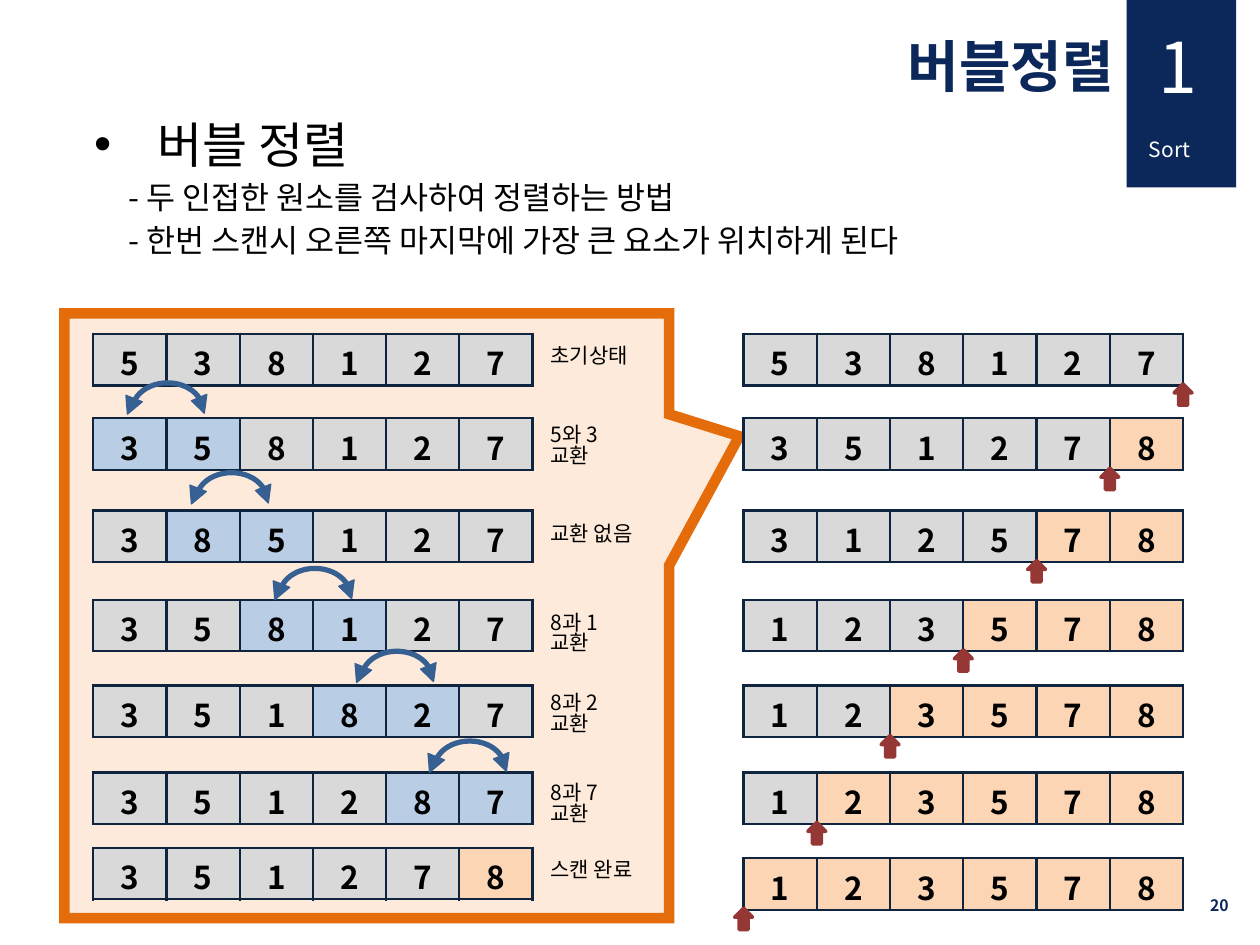
import dataclasses

import lxml.etree
import pptx
import pptx.dml.color
import pptx.enum.shapes
import pptx.enum.text
import pptx.oxml.ns
import pptx.util

Cm, Pt = pptx.util.Cm, pptx.util.Pt
qn = pptx.oxml.ns.qn
SHAPE = pptx.enum.shapes.MSO_SHAPE
ALIGN = pptx.enum.text.PP_ALIGN
ANCHOR = pptx.enum.text.MSO_ANCHOR


@dataclasses.dataclass(frozen=True)
class Theme:
    font: str = "Noto Sans CJK KR"
    navy: str = "0C2759"
    white: str = "FFFFFF"
    black: str = "000000"
    border: str = "0F243E"
    plain: str = "D9D9D9"
    compared: str = "B9CDE5"
    sorted: str = "FCD5B5"
    panel: str = "FDEADA"
    orange: str = "E46C0A"
    swap: str = "376092"
    marker: str = "953735"
    title: int = 32
    badge: int = 40
    heading: int = 28
    body: int = 18
    label: int = 12
    page: int = 9


def rgb(value):
    return pptx.dml.color.RGBColor.from_string(value)


def add_element(parent, tag, **attributes):
    return lxml.etree.SubElement(parent, qn(tag), attributes)


def write(para, text, size, color, bold=False, align=ALIGN.LEFT, spacing=None):
    para.alignment = align
    para.line_spacing = spacing
    span = para.add_run()
    span.text = text
    span.font.size = Pt(size)
    span.font.bold = bold
    span.font.color.rgb = rgb(color)
    span.font.name = Theme.font
    add_element(span.font._element, "a:ea", typeface=Theme.font)


class SlideBuilder:
    TIGHT = 0.83
    CELLS = 6
    ROW_WIDTH, ROW_HEIGHT = 8.86, 1.04

    def __init__(self, slide, theme):
        self.slide = slide
        self.theme = theme

    def title(self, text, left, top, width, height):
        box = self.slide.shapes.title
        box.left, box.top, box.width, box.height = map(Cm, (left, top, width, height))
        frame = box.text_frame
        frame.vertical_anchor = ANCHOR.TOP
        frame.auto_size = pptx.enum.text.MSO_AUTO_SIZE.NONE
        write(frame.paragraphs[0], text, self.theme.title, self.theme.navy,
              bold=True, align=ALIGN.RIGHT, spacing=self.TIGHT)

    def frame(self, left, top, width, height):
        box = self.slide.shapes.add_textbox(*map(Cm, (left, top, width, height)))
        box.text_frame.word_wrap = True
        return box.text_frame

    def text(self, text, left, top, width, height, anchor=ANCHOR.TOP, right_inset=0.25, **style):
        frame = self.frame(left, top, width, height)
        frame.vertical_anchor = anchor
        frame.margin_right = Cm(right_inset)
        write(frame.paragraphs[0], text, **style)

    def outline(self, heading, points, left, top, width, height):
        """A bulleted heading followed by indented points."""
        frame = self.frame(left, top, width, height)
        para = frame.paragraphs[0]
        properties = para._p.get_or_add_pPr()
        properties.set("marL", str(Cm(1.27)))
        properties.set("indent", str(-Cm(1.27)))
        add_element(properties, "a:buFont", typeface="Arial")
        add_element(properties, "a:buChar", char="•")
        write(para, heading, self.theme.heading, self.theme.black)
        for point in points:
            para = frame.add_paragraph()
            para._p.get_or_add_pPr().set("marL", str(Cm(0.7)))
            para.space_before = Pt(3)
            write(para, point, self.theme.body, self.theme.black)

    def paint(self, shape, fill=None, line=None, weight=0.75):
        shape.shadow.inherit = False
        if fill:
            shape.fill.solid()
            shape.fill.fore_color.rgb = rgb(fill)
        else:
            shape.fill.background()
        if line:
            shape.line.color.rgb = rgb(line)
            shape.line.width = Pt(weight)
        else:
            shape.line.fill.background()

    def shape(self, kind, left, top, width, height, adjust=(), **style):
        shape = self.slide.shapes.add_shape(kind, *map(Cm, (left, top, width, height)))
        for index, value in enumerate(adjust):
            shape.adjustments[index] = value
        self.paint(shape, **style)
        return shape

    def callout(self, left, top, width, height, adjust):
        shape = self.shape(SHAPE.RECTANGULAR_CALLOUT, left, top, width, height, adjust,
                           fill=self.theme.panel, line=self.theme.orange, weight=6)
        add_element(shape.line._get_or_add_ln(), "a:miter", lim="800000")

    def triangle(self, points):
        start, *others = [(Cm(x), Cm(y)) for x, y in points]
        builder = self.slide.shapes.build_freeform(*start)
        builder.add_line_segments(others, close=True)
        self.paint(builder.convert_to_shape(), fill=self.theme.swap, line=self.theme.swap)

    def swap_arrow(self, left, top):
        """A double-headed arc over two neighbouring cells."""
        heads = (((1.19, 0.36), (1.45, 0.61), (1.5, 0.23)),
                 ((-0.13, 0.25), (-0.1, 0.63), (0.2, 0.38)))
        for head in heads:
            self.triangle([(left + x, top + y) for x, y in head])
        self.shape(SHAPE.ARC, left, top, 1.42, 1.09, (111.12, 212.61),
                   line=self.theme.swap, weight=3)

    def array(self, digits, left, top, compared=(), sorted_from=CELLS):
        holder = self.slide.shapes.add_table(
            1, self.CELLS, *map(Cm, (left, top, self.ROW_WIDTH, self.ROW_HEIGHT)))
        table = holder.table
        table.first_row = table.horz_banding = False
        for index, (cell, digit) in enumerate(zip(table.iter_cells(), digits)):
            fill = self.theme.plain
            if index in compared:
                fill = self.theme.compared
            elif index >= sorted_from:
                fill = self.theme.sorted
            cell.margin_top, cell.margin_bottom = Cm(0.11), 0
            write(cell.text_frame.paragraphs[0], digit, self.theme.body,
                  self.theme.black, bold=True, align=ALIGN.CENTER)
            properties = cell._tc.get_or_add_tcPr()
            for side in ("a:lnL", "a:lnR", "a:lnT", "a:lnB"):
                edge = add_element(properties, side, w=str(Pt(1.5)))
                add_element(add_element(edge, "a:solidFill"), "a:srgbClr", val=self.theme.border)
            cell.fill.solid()
            cell.fill.fore_color.rgb = rgb(fill)

    def boundary_marker(self, left, top, position):
        """An up arrow under the edge where the sorted part begins."""
        center = left + position * self.ROW_WIDTH / self.CELLS
        self.shape(SHAPE.UP_ARROW, center - 0.18, top + self.ROW_HEIGHT - 0.03, 0.36, 0.43,
                   fill=self.theme.marker, line=self.theme.marker, weight=2)


def main():
    theme = Theme()
    deck = pptx.Presentation()
    deck.slide_width, deck.slide_height = Cm(25.4), Cm(19.05)
    page = SlideBuilder(deck.slides.add_slide(deck.slide_layouts[5]), theme)

    page.text("20", 19.1, 17.73, 5.92, 1.02, anchor=ANCHOR.MIDDLE, size=theme.page,
              color=theme.navy, bold=True, align=ALIGN.RIGHT)
    page.title("버블정렬", 14.71, 0.74, 8, 1.63)
    page.shape(SHAPE.RECTANGLE, 22.71, 0, 2.21, 3.78, fill=theme.navy)
    page.text("Sort", 22.91, 2.72, 2.01, 0.76, size=theme.label, color=theme.white,
              spacing=page.TIGHT)
    page.text("1", 23.11, 0.63, 1.6, 1.96, size=theme.badge, color=theme.white,
              spacing=page.TIGHT)
    page.shape(SHAPE.ISOSCELES_TRIANGLE, 23.32, 1.52, 1.19, 0.99, (1,), fill=theme.navy)
    page.callout(1.3, 6.32, 12.19, 12.19, (0.616, -0.297))

    row_tops = (6.73, 8.43, 10.29, 12.09, 13.82, 15.57)
    scan_left, pass_left = 1.88, 14.99
    scan_steps = ("538127", "358127", "385127", "358127", "351827", "351287", "351278")
    scan_labels = (("초기상태", 6.86), ("5와 3 교환", 8.46), ("교환 없음", 10.46),
                   ("8과 1 교환", 12.24), ("8과 2 교환", 13.87), ("8과 7 교환", 15.67),
                   ("스캔 완료", 17.22))
    last_step = len(scan_steps) - 1
    for step, (digits, top) in enumerate(zip(scan_steps, (*row_tops, 17.09))):
        compared = (step - 1, step) if 0 < step < last_step else ()
        page.array(digits, scan_left, top, compared,
                   sorted_from=5 if step == last_step else page.CELLS)
    for left, top in ((2.67, 7.72), (3.96, 9.53), (5.64, 11.46), (7.29, 13.13), (8.76, 14.94)):
        page.swap_arrow(left, top)

    passes = ("538127", "351278", "312578", "123578", "123578", "123578", "123578")
    for number, (digits, top) in enumerate(zip(passes, (*row_tops, 17.3))):
        boundary = page.CELLS - number
        page.array(digits, pass_left, top, sorted_from=boundary)
        page.boundary_marker(pass_left, top, boundary)

    for label, top in scan_labels:
        page.text(label, 10.85, top, 2.62, 0.76, right_inset=0.62, size=theme.label,
                  color=theme.black, spacing=page.TIGHT)
    page.outline("버블 정렬", ("- 두 인접한 원소를 검사하여 정렬하는 방법",
                            "- 한번 스캔시 오른쪽 마지막에 가장 큰 요소가 위치하게 된다"),
                 1.65, 2.18, 23.8, 3.73)
    deck.save("out.pptx")


if __name__ == "__main__":
    main()
